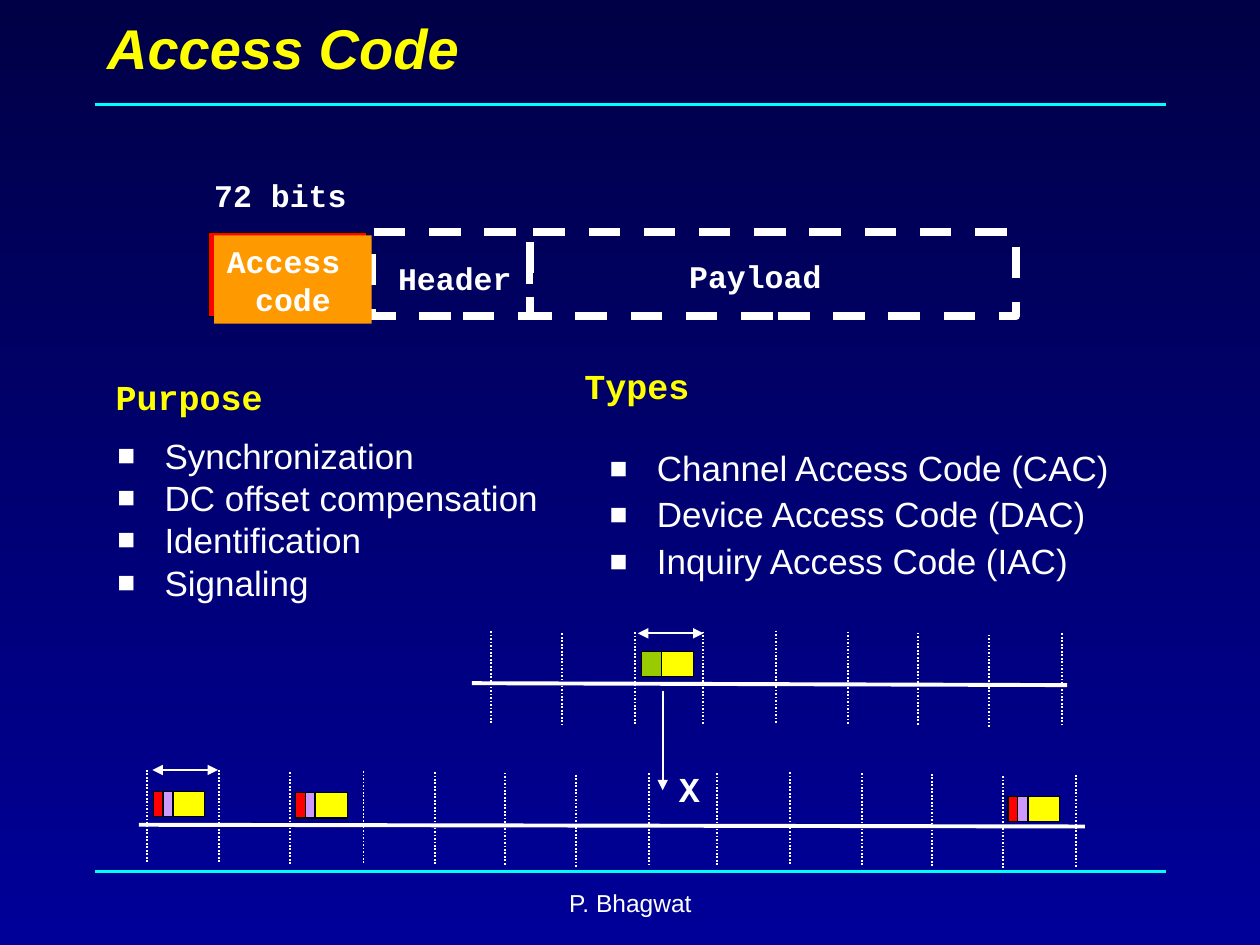
from typing import NamedTuple

from lxml import etree
from pptx import Presentation
from pptx.dml.color import RGBColor
from pptx.enum.dml import MSO_LINE
from pptx.enum.shapes import MSO_CONNECTOR, MSO_SHAPE
from pptx.enum.text import MSO_ANCHOR, MSO_AUTO_SIZE, PP_ALIGN
from pptx.oxml.ns import qn
from pptx.util import Pt

LEFT, CENTER = PP_ALIGN.LEFT, PP_ALIGN.CENTER
TOP, MIDDLE = MSO_ANCHOR.TOP, MSO_ANCHOR.MIDDLE
DASH, DOTS = MSO_LINE.DASH, MSO_LINE.ROUND_DOT
NO_AUTOFIT = MSO_AUTO_SIZE.NONE
RECTANGLE, STRAIGHT = MSO_SHAPE.RECTANGLE, MSO_CONNECTOR.STRAIGHT
SANS, MONO = "Arial", "Courier New"

COLORS = {
    "night": "000046", "blue": "000099", "cyan": "00FFFF", "white": "FFFFFF",
    "black": "000000", "yellow": "FFFF00", "red": "FF0000", "orange": "FF9900",
    "lilac": "CC99FF", "green": "99CC00",
}


class Box(NamedTuple):
    left: float
    top: float
    width: float
    height: float


class Label(NamedTuple):
    text: str
    box: Box
    size: float = 18
    color: str = "white"
    align: PP_ALIGN = CENTER
    anchor: MSO_ANCHOR = MIDDLE
    font: str = MONO
    bold: bool = True


class Field(NamedTuple):
    """One coloured part of a packet, offset from the packet's left edge."""
    offset: float
    width: float
    color: str


class Tick(NamedTuple):
    x: float
    top: float


PACKET_HEIGHT = 14.4
TICK_HEIGHT = 52.7
ACCESS_PACKET = [Field(0, 5.6, "red"), Field(11.4, 18, "yellow"), Field(5.5, 5.6, "lilac")]
REPLY_PACKET = [Field(0, 13, "green"), Field(11.6, 18, "yellow")]
ACCESS_PACKET_SPOTS = [(87.6, 452.2), (169, 453), (576, 455)]

LOWER_TICKS = [
    Tick(84.1, 440), Tick(125.3, 440), Tick(165.8, 441.2), Tick(207.8, 440.7),
    Tick(248.6, 441.2), Tick(288.6, 441.5), Tick(329.2, 442.8), Tick(371, 442),
    Tick(409.6, 441.8), Tick(451.5, 441.2), Tick(492.5, 441.8), Tick(532.5, 442.3),
    Tick(573, 443.5), Tick(615, 442.8),
]
# The upper channel has the slots of the lower one from the sixth on, moved up and left.
UPPER_TICKS = [Tick(x - 8, top - 80.8) for x, top in LOWER_TICKS[5:]]

LABELS = [
    Label("Header", Box(220.3, 144.7, 79.2, 28.8)),
    Label("Payload", Box(386.6, 143.3, 90, 28.8)),
    Label("72 bits", Box(115.2, 97.2, 90, 28.8)),
    Label("Purpose", Box(59, 211, 98.6, 31.7), 20, "yellow", LEFT, TOP),
    Label("Types", Box(326.9, 204.5, 98.6, 31.7), 20, "yellow", LEFT, TOP),
    Label("X", Box(380.9, 434.9, 25.9, 31.7), 20, "white", LEFT, TOP),
    Label("P. Bhagwat", Box(246.2, 504, 228.2, 36), 14, "white", CENTER, TOP, SANS, False),
]
PURPOSES = ["Synchronization", "DC offset compensation", "Identification", "Signaling"]
TYPES = ["Channel Access Code (CAC)", "Device Access Code (DAC)", "Inquiry Access Code (IAC)"]


def rgb(name: str) -> RGBColor:
    return RGBColor.from_string(COLORS[name])


def place(shape, box: Box) -> None:
    shape.left, shape.top, shape.width, shape.height = map(Pt, box)


def add_bullet(paragraph) -> None:
    properties = paragraph._p.get_or_add_pPr()
    properties.set("marL", str(Pt(27)))
    properties.set("indent", str(-Pt(27)))
    bullet_color = etree.SubElement(properties, qn("a:buClr"))
    etree.SubElement(bullet_color, qn("a:srgbClr"), val=COLORS["white"])
    etree.SubElement(properties, qn("a:buSzPct"), val="85000")
    etree.SubElement(properties, qn("a:buFont"), typeface=SANS)
    etree.SubElement(properties, qn("a:buChar"), char="■")


def write(frame, lines: list[str], *, size: float, color: str = "white", font: str = SANS,
          bold: bool = False, italic: bool = False, align: PP_ALIGN = LEFT,
          anchor: MSO_ANCHOR = TOP, wrap: bool = True, bullets: bool = False,
          spacing: float = 1, before: float = 0) -> None:
    frame.auto_size = NO_AUTOFIT
    frame.word_wrap = wrap
    frame.vertical_anchor = anchor
    for index, line in enumerate(lines):
        paragraph = frame.add_paragraph() if index else frame.paragraphs[0]
        if bullets:
            add_bullet(paragraph)
        paragraph.alignment = align
        paragraph.line_spacing = spacing
        paragraph.space_before = Pt(before if index else 0)
        run = paragraph.add_run()
        run.text = line
        run.font.name, run.font.size = font, Pt(size)
        run.font.bold, run.font.italic = bold, italic
        run.font.color.rgb = rgb(color)


def add_label(slide, label: Label) -> None:
    frame = slide.shapes.add_textbox(*map(Pt, label.box)).text_frame
    write(frame, [label.text], size=label.size, color=label.color, font=label.font,
          bold=label.bold, align=label.align, anchor=label.anchor, wrap=False)


def add_rectangle(slide, box: Box, fill: str | None = None, line: str | None = None,
                  weight: float = 0.75, dash: MSO_LINE | None = None):
    shape = slide.shapes.add_shape(RECTANGLE, *map(Pt, box))
    shape.shadow.inherit = False
    if fill:
        shape.fill.solid()
        shape.fill.fore_color.rgb = rgb(fill)
    else:
        shape.fill.background()
    if line:
        shape.line.color.rgb = rgb(line)
        shape.line.width = Pt(weight)
        shape.line.dash_style = dash
    else:
        shape.line.fill.background()
    return shape


def add_line(slide, x1: float, y1: float, x2: float, y2: float, color: str = "white",
             weight: float = 1, dash: MSO_LINE | None = None,
             arrows: tuple[str, ...] = ()) -> None:
    """Draw a straight line; arrows names its headed ends, headEnd before tailEnd."""
    connector = slide.shapes.add_connector(STRAIGHT, Pt(x1), Pt(y1), Pt(x2), Pt(y2))
    connector.line.color.rgb = rgb(color)
    connector.line.width = Pt(weight)
    connector.line.dash_style = dash
    properties = connector._element.spPr
    for end in arrows:
        etree.SubElement(properties.find(qn("a:ln")), qn(f"a:{end}"), type="triangle")
    etree.SubElement(properties, qn("a:effectLst"))


def add_packet(slide, left: float, top: float, fields: list[Field]) -> None:
    for field in fields:
        box = Box(left + field.offset, top, field.width, PACKET_HEIGHT)
        add_rectangle(slide, box, field.color, "black")


def add_ticks(slide, ticks: list[Tick]) -> None:
    for x, top in ticks:
        add_line(slide, x, top, x, top + TICK_HEIGHT, dash=DOTS)


def main() -> None:
    deck = Presentation()
    deck.slide_width, deck.slide_height = Pt(720), Pt(540)
    slide = deck.slides.add_slide(deck.slide_layouts[1])

    background = slide.background.fill
    background.gradient()
    background.gradient_angle = 270
    for stop, color in zip(background.gradient_stops, ("night", "blue")):
        stop.color.rgb = rgb(color)
    for y in (59.8, 498):
        add_line(slide, 54, y, 666, y, "cyan", 2)

    title, purposes = slide.shapes.title, slide.placeholders[1]
    place(title, Box(54, 0, 612, 54))
    write(title.text_frame, ["Access Code"], size=32, color="yellow", bold=True,
          italic=True, anchor=MIDDLE)
    place(purposes, Box(59.8, 249.1, 265.7, 100))
    write(purposes.text_frame, PURPOSES, size=20, bullets=True, spacing=0.8, before=5)
    types = slide.shapes.add_textbox(*map(Pt, Box(341.3, 254.2, 333.4, 127.4)))
    write(types.text_frame, TYPES, size=20, bullets=True, spacing=0.9, before=5)

    add_rectangle(slide, Box(119, 132.7, 90.5, 48.2), "red", "black")
    for left, width in ((302.6, 277.9), (212.4, 90.5)):
        add_rectangle(slide, Box(left, 132.7, width, 48.2), None, "white", 4.5, DASH)
    access = add_rectangle(slide, Box(122.4, 134.6, 90, 50.4), "orange")
    write(access.text_frame, ["Access ", "code"], size=18, font=MONO, bold=True,
          align=CENTER, anchor=MIDDLE, wrap=False)

    add_ticks(slide, LOWER_TICKS)
    add_line(slide, 79.4, 471.3, 620, 472.3, weight=2.25)
    for left, top in ACCESS_PACKET_SPOTS:
        add_packet(slide, left, top, ACCESS_PACKET)

    add_ticks(slide, UPPER_TICKS)
    add_line(slide, 269.6, 390.4, 609.8, 391.5, weight=2.25)
    add_packet(slide, 366.5, 372.4, REPLY_PACKET)

    for left, right, y in ((87.1, 124.6, 440), (364.5, 402, 361.9)):
        add_line(slide, left, y, right, y, arrows=("headEnd", "tailEnd"))
    add_line(slide, 378.7, 394.6, 378.7, 451.6, arrows=("tailEnd",))

    for label in LABELS:
        add_label(slide, label)
    deck.save("out.pptx")


if __name__ == "__main__":
    main()
